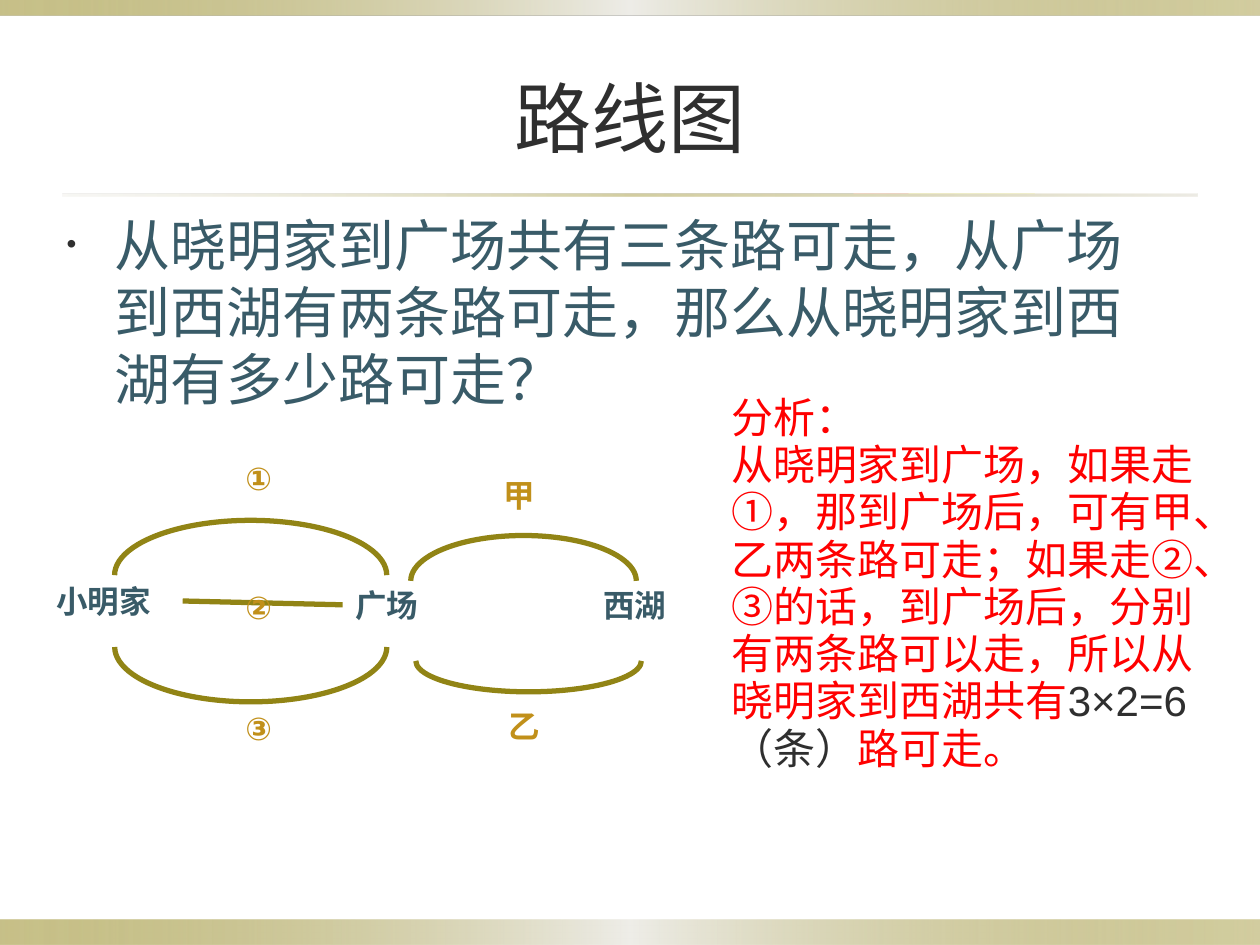
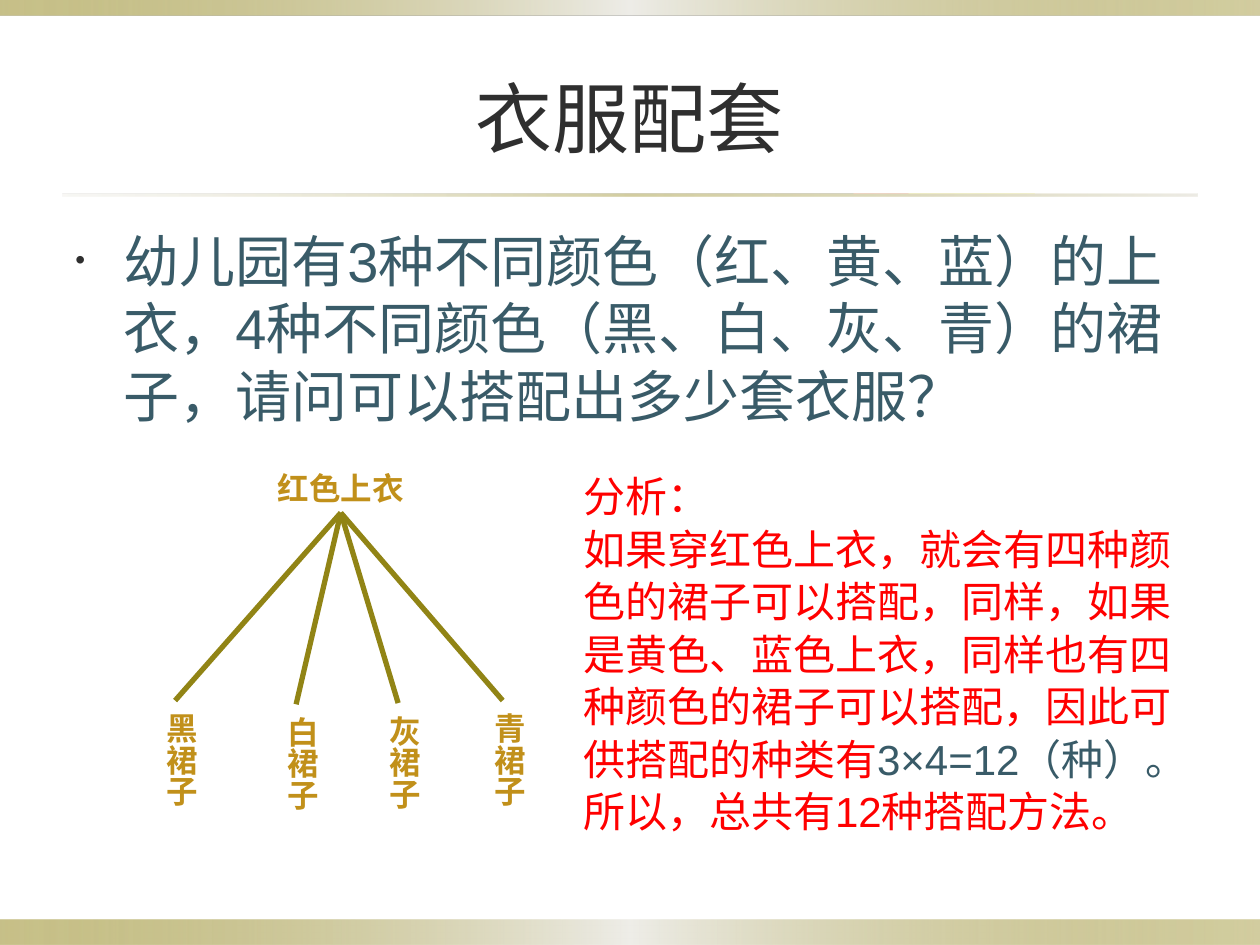
from lxml import etree
from pptx import Presentation
from pptx.dml.color import RGBColor
from pptx.enum import shapes, text
from pptx.oxml import parse_xml
from pptx.oxml.ns import nsdecls, qn
from pptx.util import Inches, Pt

OLIVE = RGBColor(0x91, 0x84, 0x15)
PALE = RGBColor(0xEE, 0xED, 0xE8)
SAND = RGBColor(0xDC, 0xD9, 0xCC)
DARK = RGBColor(0x2F, 0x2F, 0x2F)
TEAL = RGBColor(0x39, 0x5B, 0x68)
GOLD = RGBColor(0xC1, 0x90, 0x1A)
RED = RGBColor(0xFF, 0x00, 0x00)

# Gradient stops: position %, colour, opacity %
BAND_STOPS = [(0, OLIVE, 50), (50, PALE, 100), (100, OLIVE, 40)]
RULE_STOPS = [(0, SAND, 20), (50, OLIVE, 40), (100, SAND, 50)]
# Bands: left, top, width, height, stops
BANDS = [
    (0, 7.3, 10, 0.2, BAND_STOPS),
    (0, 0, 10, 0.12, BAND_STOPS),
    (0.5, 1.54, 9, 0.02, RULE_STOPS),
]
TITLE_BOX = (0.5, 0.3, 9, 1.25)
LABEL_HEIGHT = 0.4

ROUTES = {
    "title": "路线图",
    "question": "从晓明家到广场共有三条路可走，从广场到西湖有两条路可走，那么从晓明家到西湖有多少路可走？",
    "question_box": (0.43, 1.62, 9, 1.76),
    "analysis_box": (5.71, 3.04, 4.02, 3.17),
    "analysis_spacing": 27,
    "analysis": [
        ("从晓明家到广场，如果走①，那到广场后，可有甲、乙两条路可走；"
         "如果走②、③的话，到广场后，分别有两条路可以走，所以从晓明家到西湖共有", RED),
        ("3×2=6（条）", DARK),
        ("路可走。", RED),
    ],
}
# Places: name, left, top, width
PLACES = [("小明家", 0.35, 4.57, 1.1), ("广场", 2.72, 4.6, 0.71), ("西湖", 4.69, 4.6, 0.87)]
# Arcs: left, top, width, height, rotation
ARCS = [
    (0.91, 4.13, 2.16, 0.87, 0),
    (0.91, 4.7, 2.16, 0.87, 180),
    (3.26, 4.25, 1.79, 0.72, 0),
    (3.3, 5, 1.79, 0.49, 180),
]
# Route names: name, left, top, width, font
ROUTE_NAMES = [
    ("①", 1.85, 3.59, 0.4, "Arial"),
    ("②", 1.85, 4.62, 0.4, "Arial"),
    ("③", 1.85, 5.58, 0.4, "Arial"),
    ("甲", 3.9, 3.73, 0.47, "Lato"),
    ("乙", 3.94, 5.56, 0.39, "Lato"),
]

CLOTHES = {
    "title": "衣服配套",
    "question": "幼儿园有3种不同颜色（红、黄、蓝）的上衣，4种不同颜色（黑、白、灰、青）的裙子，请问可以搭配出多少套衣服？",
    "question_box": (0.5, 1.75, 9, 1.92),
    "analysis_box": (4.53, 3.67, 5.04, 3.05),
    "analysis_spacing": 30,
    "analysis": [
        ("如果穿红色上衣，就会有四种颜色的裙子可以搭配，同样，如果是黄色、蓝色上衣，"
         "同样也有四种颜色的裙子可以搭配，因此可供搭配的种类有", RED),
        ("3×4=12（种）。", TEAL),
        ("所以，总共有12种搭配方法。", RED),
    ],
}
JACKET = ("红色上衣", 1.72, 3.67, 1.97)
# Skirts: name, left, top
SKIRTS = [("黑裙子", 1.14, 5.56), ("白裙子", 2.1, 5.59), ("灰裙子", 2.91, 5.58), ("青裙子", 3.74, 5.56)]
SKIRT_SIZE = (0.5, 1.26)


def inches(box):
    return [Inches(length) for length in box]


def add_run(paragraph, content, size, color, font="Arial", bold=False):
    run = paragraph.add_run()
    run.text = content
    run.font.size = Pt(size)
    run.font.name = font
    run.font.bold = bold
    run.font.color.rgb = color


def add_text_box(slide, box):
    shape = slide.shapes.add_textbox(*inches(box))
    shape.text_frame.word_wrap = True
    return shape


def add_label(slide, content, box, color=GOLD, font="Lato"):
    shape = add_text_box(slide, box)
    add_run(shape.text_frame.paragraphs[0], content, 18, color, font, True)
    return shape


def add_band(slide, left, top, width, height, stops):
    """Draw a rectangle with a left-to-right gradient."""
    shape = slide.shapes.add_shape(shapes.MSO_SHAPE.RECTANGLE, *inches((left, top, width, height)))
    shape.shadow.inherit = False
    shape.line.fill.background()
    stop_xml = "".join(
        f'<a:gs pos="{position * 1000}"><a:srgbClr val="{color}">'
        f'<a:alpha val="{opacity * 1000}"/></a:srgbClr></a:gs>'
        for position, color, opacity in stops)
    gradient = parse_xml(f'<a:gradFill {nsdecls("a")} rotWithShape="1"><a:gsLst>{stop_xml}</a:gsLst>'
                         '<a:lin ang="0" scaled="1"/></a:gradFill>')
    shape._element.spPr.find(qn("a:prstGeom")).addnext(gradient)


def add_bullet(paragraph):
    properties = paragraph._p.get_or_add_pPr()
    properties.set("marL", str(Inches(0.38)))
    properties.set("indent", str(-Inches(0.38)))
    color = etree.SubElement(properties, qn("a:buClr"))
    etree.SubElement(color, qn("a:srgbClr"), val=str(DARK))
    etree.SubElement(properties, qn("a:buSzPct"), val="50000")
    etree.SubElement(properties, qn("a:buFont"), typeface="Arial")
    etree.SubElement(properties, qn("a:buChar"), char="•")


def add_road(slide, start, start_side, end, end_side):
    """Join the middles of two labels' sides with a straight line."""
    road = slide.shapes.add_connector(shapes.MSO_CONNECTOR.STRAIGHT, 0, 0, 0, 0)
    road.begin_connect(start, start_side)
    road.end_connect(end, end_side)
    road.line.color.rgb = OLIVE
    road.line.width = Pt(3)
    etree.SubElement(road._element.spPr, qn("a:effectLst"))


def add_arc(slide, left, top, width, height, rotation):
    arc = slide.shapes.add_shape(shapes.MSO_SHAPE.ARC, *inches((left, top, width, height)))
    arc.adjustments[0] = 108  # 180 degrees in units of 1/60000 degree, over 100000
    arc.adjustments[1] = 0
    arc.rotation = rotation
    arc.shadow.inherit = False
    arc.fill.background()
    arc.line.color.rgb = OLIVE
    arc.line.width = Pt(3)


def add_problem(presentation, problem):
    """Add a slide with bands, title, question and analysis."""
    slide = presentation.slides.add_slide(presentation.slide_layouts[6])
    for band in BANDS:
        add_band(slide, *band)

    title = add_text_box(slide, TITLE_BOX).text_frame
    title.vertical_anchor = text.MSO_ANCHOR.MIDDLE
    title.paragraphs[0].alignment = text.PP_ALIGN.CENTER
    add_run(title.paragraphs[0], problem["title"], 44, DARK, "Lato")

    question = add_text_box(slide, problem["question_box"]).text_frame.paragraphs[0]
    question.space_before = Pt(6.4)
    add_bullet(question)
    add_run(question, problem["question"], 32, TEAL)

    analysis = add_text_box(slide, problem["analysis_box"]).text_frame
    heading = analysis.paragraphs[0]
    heading.line_spacing = Pt(30)
    add_run(heading, "分析：", 24, RED)
    reasoning = analysis.add_paragraph()
    reasoning.line_spacing = Pt(problem["analysis_spacing"])
    for content, color in problem["analysis"]:
        add_run(reasoning, content, 24, color)
    return slide


def draw_route_map(slide):
    home, square, _ = [add_label(slide, name, (left, top, width, LABEL_HEIGHT), TEAL)
                       for name, left, top, width in PLACES]
    add_road(slide, home, 3, square, 1)
    for arc in ARCS:
        add_arc(slide, *arc)
    for name, left, top, width, font in ROUTE_NAMES:
        add_label(slide, name, (left, top, width, LABEL_HEIGHT), font=font)


def draw_outfit_tree(slide):
    name, *place = JACKET
    jacket = add_label(slide, name, (*place, LABEL_HEIGHT))
    jacket.text_frame.paragraphs[0].alignment = text.PP_ALIGN.CENTER
    for name, left, top in SKIRTS:
        skirt = add_label(slide, name, (left, top, *SKIRT_SIZE))
        skirt.text_frame._txBody.bodyPr.set("vert", "eaVert")
        add_road(slide, jacket, 2, skirt, 0)


def main():
    presentation = Presentation()
    presentation.slide_width = Inches(10)
    presentation.slide_height = Inches(7.5)
    draw_route_map(add_problem(presentation, ROUTES))
    draw_outfit_tree(add_problem(presentation, CLOTHES))
    presentation.save("out.pptx")


if __name__ == "__main__":
    main()
